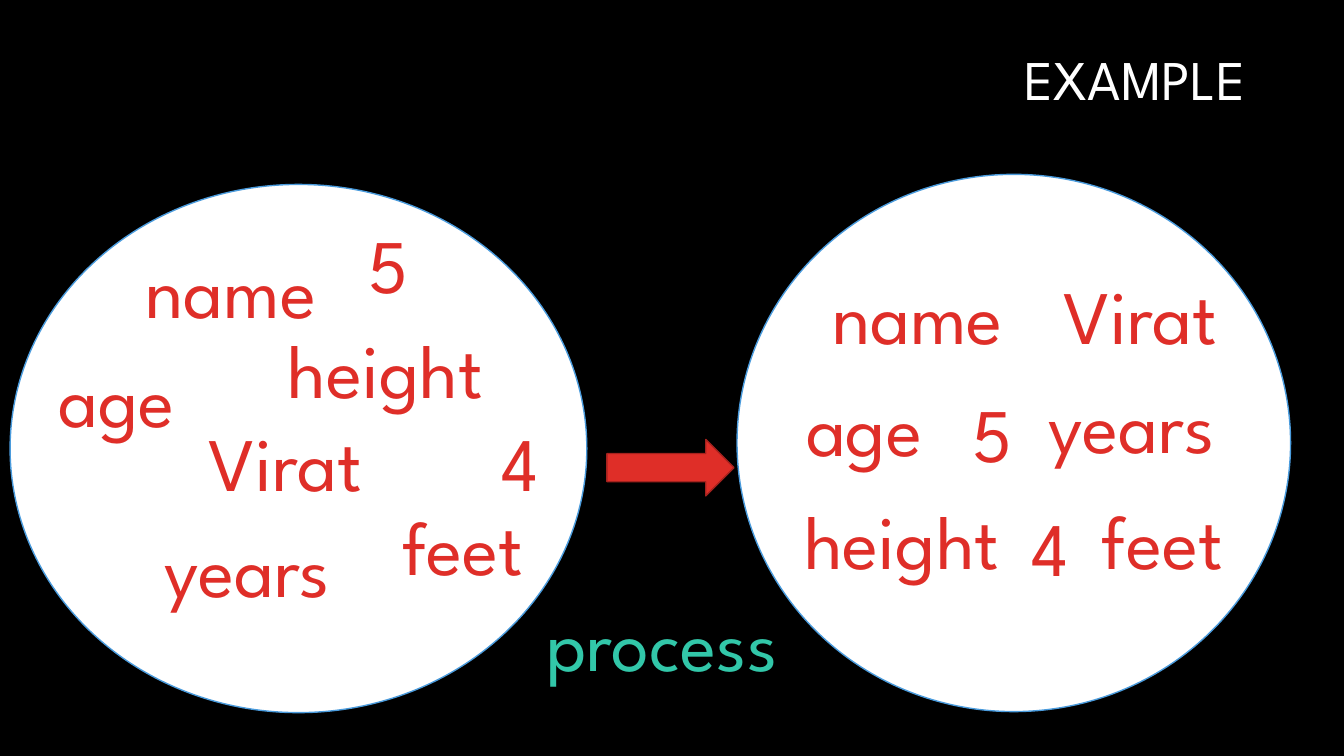
from dataclasses import dataclass

from pptx import Presentation
from pptx.dml.color import RGBColor
from pptx.enum.shapes import MSO_SHAPE as Shape
from pptx.enum.text import MSO_ANCHOR as Anchor, MSO_AUTO_SIZE as AutoSize, PP_ALIGN as Align
from pptx.util import Inches, Pt

FONT = "League Spartan"
RED, WHITE, TEAL = "DF2E28", "FFFFFF", "32C7A9"
WORD_HEIGHT = 1.01
# Box width of each word at 54 pt
WIDTHS = {"name": 2.38, "age": 1.72, "height": 2.53, "Virat": 1.88, "5": 0.62,
          "4": 0.62, "years": 2.14, "feet": 1.68, "process": 3.07}


@dataclass
class Figure:
    kind: Shape
    x: float
    y: float
    w: float
    h: float
    fill: str
    line: str


@dataclass
class Word:
    text: str
    x: float
    y: float
    color: str = RED


FIGURES = [
    Figure(Shape.OVAL, 0.1, 1.83, 5.72, 5.24, WHITE, "4A9BDC"),
    Figure(Shape.RIGHT_ARROW, 6.02, 4.36, 1.26, 0.56, RED, "A5221E"),
    Figure(Shape.OVAL, 7.31, 1.73, 5.49, 5.33, WHITE, "4A9BDC"),
]

DATA_WORDS = [
    Word("age", 0.3, 3.44), Word("name", 1.1, 2.36), Word("Virat", 1.89, 4.08),
    Word("height", 2.56, 3.15), Word("5", 3.54, 2.11), Word("4", 4.85, 4.08),
    Word("years", 1.38, 5.13), Word("feet", 3.75, 4.91),
]
INFORMATION_WORDS = [
    Word("name", 7.91, 2.62), Word("Virat", 10.37, 2.62),
    Word("age", 7.71, 3.73), Word("5", 9.53, 3.79), Word("years", 10.15, 3.7),
    Word("height", 7.68, 4.85), Word("4", 10.1, 4.92), Word("feet", 10.69, 4.85),
]
PROCESS = Word("process", 5.03, 5.86, TEAL)


def rgb(color: str) -> RGBColor:
    return RGBColor.from_string(color)


def write(tf, text: str, size: int, color: str, align: Align, **frame_format) -> None:
    for name, value in frame_format.items():
        setattr(tf, name, value)
    p = tf.paragraphs[0]
    p.alignment = align
    r = p.add_run()
    r.text = text
    for name, value in {"name": FONT, "size": Pt(size), "bold": False}.items():
        setattr(r.font, name, value)
    r.font.color.rgb = rgb(color)


def add_title(s, text: str) -> None:
    title = s.shapes.title
    box = {"left": 7.1, "top": 0.47, "width": 5.49, "height": 1.41}
    for name, value in box.items():
        setattr(title, name, Inches(value))
    write(title.text_frame, text, 40, WHITE, Align.RIGHT, word_wrap=True,
          vertical_anchor=Anchor.TOP, auto_size=AutoSize.NONE)
    title.text_frame.paragraphs[0].line_spacing = 0.9


def add_figure(s, f: Figure) -> None:
    sp = s.shapes.add_shape(f.kind, *map(Inches, (f.x, f.y, f.w, f.h)))
    sp.shadow.inherit = False
    sp.fill.solid()
    sp.fill.fore_color.rgb = rgb(f.fill)
    sp.line.color.rgb = rgb(f.line)
    sp.line.width = Pt(1)


def add_word(s, word: Word) -> None:
    box = (word.x, word.y, WIDTHS[word.text], WORD_HEIGHT)
    sp = s.shapes.add_textbox(*map(Inches, box))
    write(sp.text_frame, word.text, 54, word.color, Align.CENTER,
          word_wrap=False, auto_size=AutoSize.SHAPE_TO_FIT_TEXT)


def main() -> None:
    prs = Presentation()
    prs.slide_width, prs.slide_height = Inches(13.33), Inches(7.5)
    s = prs.slides.add_slide(prs.slide_layouts[5])
    s.background.fill.solid()
    s.background.fill.fore_color.rgb = rgb("000000")

    # Title
    add_title(s, "EXAMPLE ")

    # Circles and the arrow between them
    for figure in FIGURES:
        add_figure(s, figure)

    # Loose data, ordered information and the process label
    for word in [*DATA_WORDS, *INFORMATION_WORDS, PROCESS]:
        add_word(s, word)

    prs.save("out.pptx")


if __name__ == "__main__":
    main()
